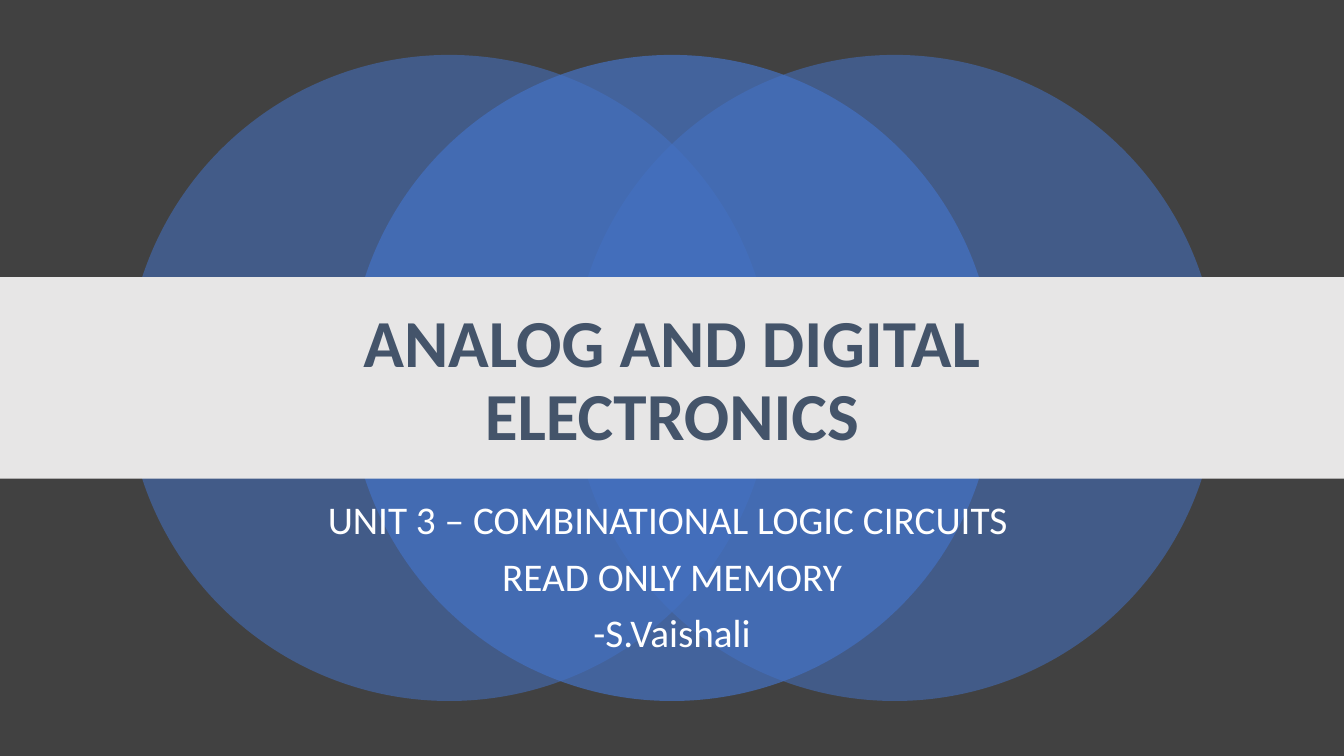
import pptx
import pptx.util
import pptx.dml.color
import pptx.enum.shapes
import pptx.enum.text
import pptx.oxml.ns
import lxml.etree

Inches, Pt = pptx.util.Inches, pptx.util.Pt
SHAPE = pptx.enum.shapes.MSO_SHAPE
ANCHOR = pptx.enum.text.MSO_ANCHOR

TITLE = ["ANALOG AND DIGITAL ELECTRONICS"]
SUBTITLE = [
    "UNIT 3 – COMBINATIONAL LOGIC CIRCUITS ",
    "READ ONLY MEMORY",
    "-S.Vaishali",
]
FONT = "Calibri"
BACKGROUND, BLUE, BAND = "414141", "4472C4", "E7E6E6"
NAVY, WHITE = "44546A", "FFFFFF"
WIDTH, HEIGHT = 13.33, 7.5
DIAMETER, CIRCLE_STEP = 6.41, 2.21
BAND_TOP, BAND_HEIGHT = 2.75, 2
TEXT_WIDTH = 10
CIRCLES = [(-1, 55), (1, 55), (0, 70)]


def color(value):
    return pptx.dml.color.RGBColor.from_string(value)


def add_plain_shape(s, kind, box, fill, opacity=100):
    sp = s.shapes.add_shape(kind, *map(Inches, box))
    sp.shadow.inherit = False
    sp.line.fill.background()
    sp.fill.solid()
    sp.fill.fore_color.rgb = color(fill)
    if opacity < 100:
        clr = sp.element.spPr.find(".//" + pptx.oxml.ns.qn("a:srgbClr"))
        alpha = lxml.etree.SubElement(clr, pptx.oxml.ns.qn("a:alpha"))
        alpha.set("val", str(opacity * 1000))


def fill_placeholder(s, sp, lines, top, height, size, ink, bold, anchor):
    s.shapes.element.append(sp.element)
    sp.left, sp.top = Inches((WIDTH - TEXT_WIDTH) / 2), Inches(top)
    sp.width, sp.height = Inches(TEXT_WIDTH), Inches(height)
    tf = sp.text_frame
    tf.text = "\n".join(lines)
    tf.word_wrap = True
    tf.auto_size = pptx.enum.text.MSO_AUTO_SIZE.NONE
    tf.vertical_anchor = anchor
    for i, p in enumerate(tf.paragraphs):
        p.alignment = pptx.enum.text.PP_ALIGN.CENTER
        p.line_spacing = 0.9
        p.space_before = Pt(10 if i else 0)
        for r in p.runs:
            r.font.name = FONT
            r.font.size = Pt(size)
            r.font.bold = bold
            r.font.color.rgb = color(ink)


def main():
    prs = pptx.Presentation()
    prs.slide_width, prs.slide_height = Inches(WIDTH), Inches(HEIGHT)
    s = prs.slides.add_slide(prs.slide_layouts[0])
    s.background.fill.solid()
    s.background.fill.fore_color.rgb = color(BACKGROUND)

    for offset, opacity in CIRCLES:
        left = (WIDTH - DIAMETER) / 2 + offset * CIRCLE_STEP
        box = (left, (HEIGHT - DIAMETER) / 2, DIAMETER, DIAMETER)
        add_plain_shape(s, SHAPE.OVAL, box, BLUE, opacity)
    add_plain_shape(s, SHAPE.RECTANGLE, (0, BAND_TOP, WIDTH, BAND_HEIGHT), BAND)

    fill_placeholder(s, s.shapes.title, TITLE, 3.04, 1.51, 48, NAVY, True, ANCHOR.MIDDLE)
    fill_placeholder(s, s.placeholders[1], SUBTITLE, 4.92, 2, 28, WHITE, False, ANCHOR.TOP)
    prs.save("out.pptx")


if __name__ == "__main__":
    main()
